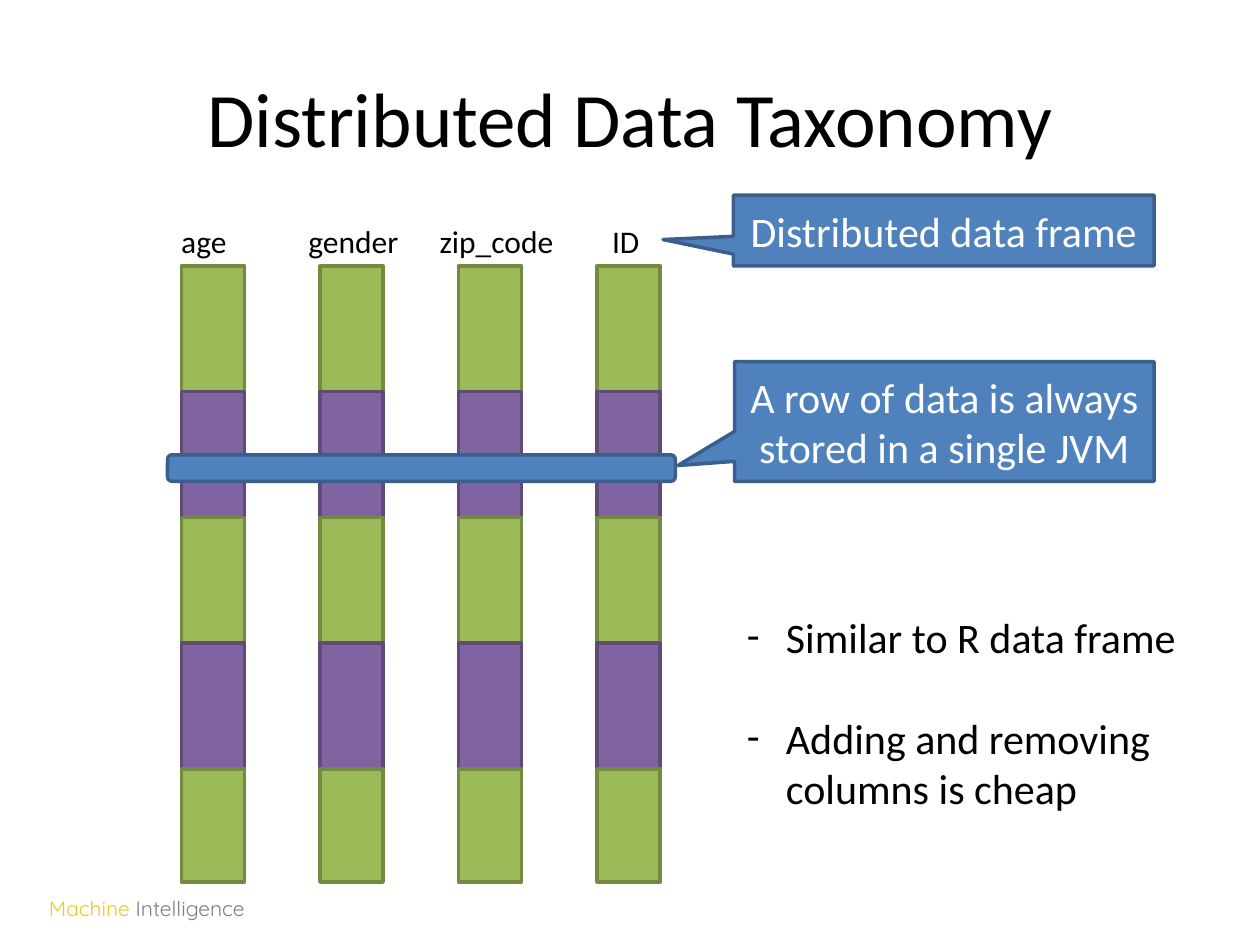
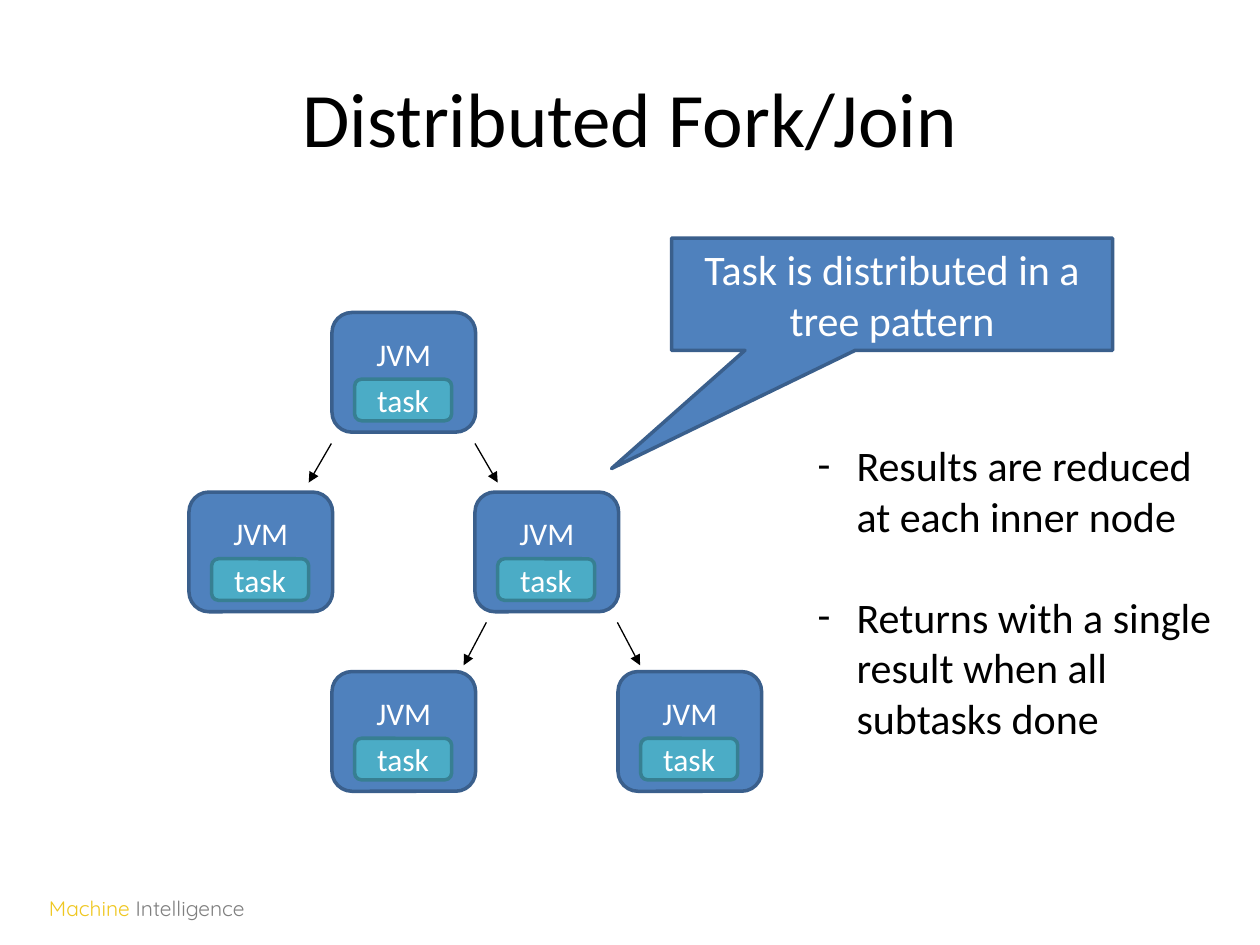
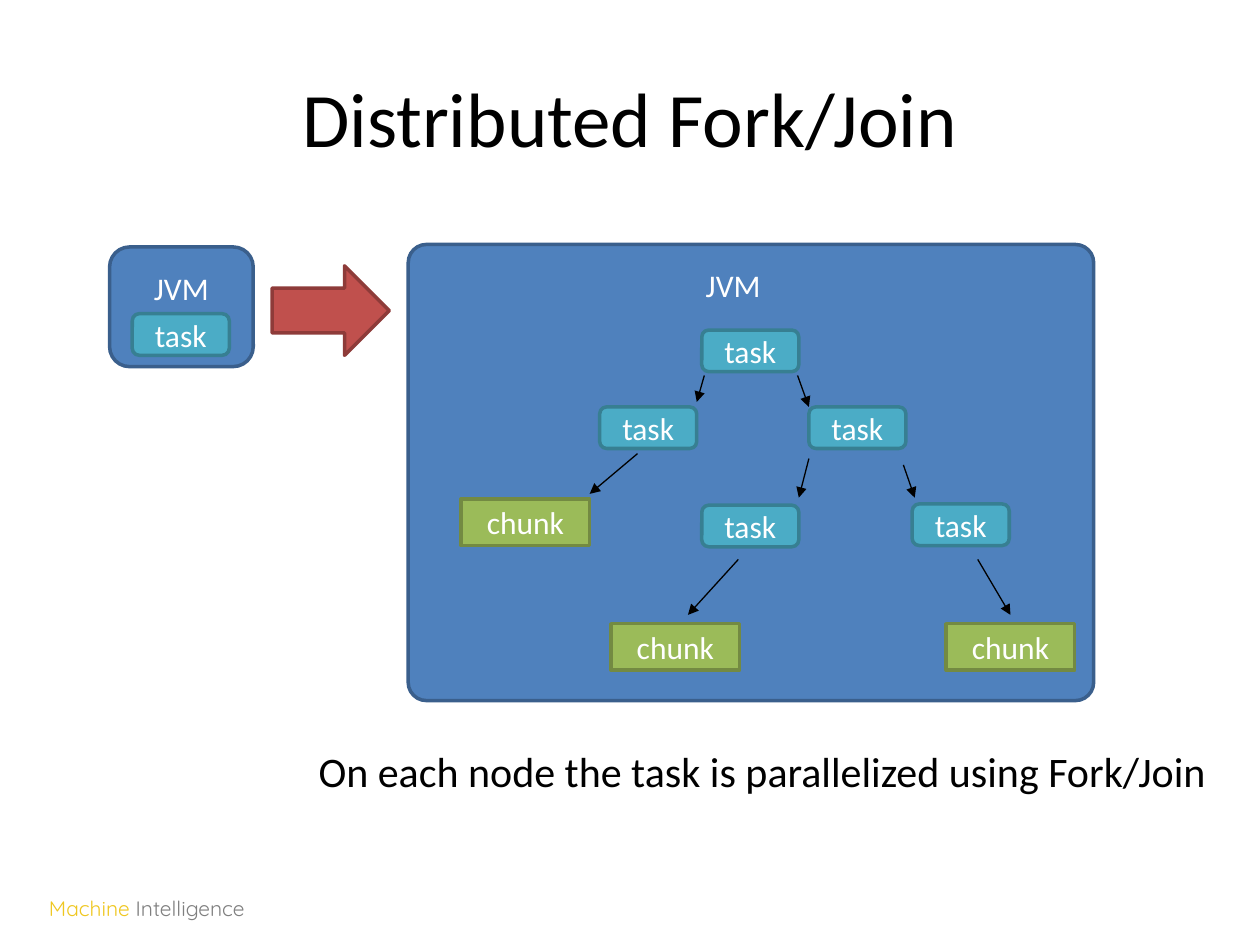
from lxml.etree import SubElement
from pptx import Presentation
from pptx.dml.color import RGBColor
from pptx.enum.shapes import MSO_CONNECTOR, MSO_SHAPE
from pptx.enum.text import MSO_ANCHOR, MSO_AUTO_SIZE, PP_ALIGN
from pptx.oxml.ns import qn
from pptx.util import Inches, Pt

COLUMNS, ROWS = 100, 75
BLUE = ("4F81BD", "3A5F8C")
GREEN = ("9BBB59", "738A42")
PURPLE = ("8064A2", "5F4A78")
TEAL = ("4BACC6", "377F92")
RED = ("C0504D", "8E3B39")
BLACK, WHITE, YELLOW, GREY = "000000", "FFFFFF", "EFC71F", "7F7F7F"
BODY_FONT, FOOTER_FONT = "Calibri", "Quicksand"
JVM_SIZE = (11.4, 9.5)
TASK_SIZE = (7.7, 3.3)
CHUNK_SIZE = (10.2, 3.7)


def color(hex_code):
    return RGBColor.from_string(hex_code)


def add_span(para, text, size=18, font=BODY_FONT, ink=BLACK):
    """Append formatted text; a newline becomes a line break."""
    for number, line in enumerate(text.split("\n")):
        if number:
            para.add_line_break()
        span = para.add_run()
        span.text = line
        span.font.size, span.font.name = Pt(size), font
        span.font.color.rgb = color(ink)


class SlideBuilder:
    """Draws on the current slide; lengths are columns and rows of the grid."""

    def __init__(self):
        self.deck = Presentation()
        self.deck.slide_width, self.deck.slide_height = Inches(10), Inches(7.5)
        self.slide = None

    def across(self, columns):
        return round(self.deck.slide_width * columns / COLUMNS)

    def down(self, rows):
        return round(self.deck.slide_height * rows / ROWS)

    def area(self, left, top, width, height):
        return self.across(left), self.down(top), self.across(width), self.down(height)

    def start(self, title):
        self.slide = self.deck.slides.add_slide(self.deck.slide_layouts[5])
        box = self.slide.shapes.title
        box.left, box.top, box.width, box.height = self.area(5, 3, 90, 12.5)
        frame = box.text_frame
        frame.auto_size = MSO_AUTO_SIZE.NONE
        frame.vertical_anchor = MSO_ANCHOR.MIDDLE
        para = frame.paragraphs[0]
        para.alignment = PP_ALIGN.CENTER
        add_span(para, title, size=44)

    def text(self, left, top, width, height, text="", **style):
        box = self.slide.shapes.add_textbox(*self.area(left, top, width, height))
        box.text_frame.word_wrap = True
        if text:
            add_span(box.text_frame.paragraphs[0], text, **style)
        return box.text_frame

    def bullets(self, left, top, width, height, items):
        frame = self.text(left, top, width, height)
        for number, item in enumerate(items):
            para = frame.add_paragraph() if number else frame.paragraphs[0]
            para.space_before = Pt(29 if number else 0)
            properties = para._p.get_or_add_pPr()
            properties.set("marL", str(self.across(3.1)))
            properties.set("indent", str(-self.across(3.1)))
            SubElement(properties, qn("a:buFont")).set("typeface", BODY_FONT)
            SubElement(properties, qn("a:buChar")).set("char", "-")
            add_span(para, item, size=24)

    def shape(self, kind, left, top, size, paint, text="", text_size=18, adjust=()):
        box = self.slide.shapes.add_shape(kind, *self.area(left, top, *size))
        box.shadow.inherit = False
        fill, line = paint
        box.fill.solid()
        box.fill.fore_color.rgb = color(fill)
        box.line.color.rgb, box.line.width = color(line), Pt(2)
        for number, value in enumerate(adjust):
            box.adjustments[number] = value
        frame = box.text_frame
        frame.word_wrap, frame.vertical_anchor = True, MSO_ANCHOR.MIDDLE
        frame.paragraphs[0].alignment = PP_ALIGN.CENTER
        if text:
            add_span(frame.paragraphs[0], text, size=text_size, ink=WHITE)
        return frame

    def callout(self, left, top, size, text, tip):
        self.shape(MSO_SHAPE.RECTANGULAR_CALLOUT, left, top, size, BLUE, text, 24, tip)

    def jvm(self, left, top, size=JVM_SIZE, adjust=()):
        frame = self.shape(MSO_SHAPE.ROUNDED_RECTANGLE, left, top, size, BLUE, "JVM", adjust=adjust)
        frame.vertical_anchor = MSO_ANCHOR.TOP
        frame.margin_top = self.down(1.3)
        return frame

    def task(self, left, top):
        self.shape(MSO_SHAPE.ROUNDED_RECTANGLE, left, top, TASK_SIZE, TEAL, "task")

    def jvm_with_task(self, left, top):
        self.jvm(left, top)
        self.task(left + 1.8, top + 5.3)

    def arrows(self, routes):
        for x1, y1, x2, y2 in routes:
            arrow = self.slide.shapes.add_connector(
                MSO_CONNECTOR.STRAIGHT,
                self.across(x1), self.down(y1), self.across(x2), self.down(y2))
            arrow.line.color.rgb, arrow.line.width = color(BLACK), Pt(0.75)
            properties = arrow.element.spPr
            SubElement(properties.find(qn("a:ln")), qn("a:tailEnd")).set("type", "triangle")
            SubElement(properties, qn("a:effectLst"))

    def footer(self):
        frame = self.text(2.9, 70, 24, 4.1)
        frame.vertical_anchor = MSO_ANCHOR.MIDDLE
        for text, ink in (("Machine ", YELLOW), ("Intelligence", GREY)):
            add_span(frame.paragraphs[0], text, size=12, font=FOOTER_FONT, ink=ink)


def draw_taxonomy(page):
    page.start("Distributed Data Taxonomy")
    first_left, column_step, first_top, chunk_step, bottom = 14.4, 11, 21.1, 9.98, 70
    labels = (("age", 13.4), ("gender", 23.5), ("zip_code", 33.9), ("ID", 47.6))
    for column, (label, label_left) in enumerate(labels):
        page.text(label_left, 17.1, 12, 4, label)
        for chunk in range(5):
            top = first_top + chunk * chunk_step
            size = (5, min(10, bottom - top))
            page.shape(MSO_SHAPE.RECTANGLE, first_left + column * column_step, top, size,
                       PURPLE if chunk % 2 else GREEN)
    page.shape(MSO_SHAPE.ROUNDED_RECTANGLE, 13.3, 36.1, (40.3, 2.1), BLUE)
    page.callout(58.3, 28.7, (33.3, 9.5),
                 "A row of data is always stored in a single JVM", (-0.635, 0.368))
    page.callout(58.2, 15.5, (33.4, 5.6), "Distributed data frame", (-0.667, 0.128))
    page.bullets(58.3, 48, 37.7, 17.2,
                 ("Similar to R data frame", "Adding and removing\ncolumns is cheap"))
    page.footer()


def draw_cluster_tree(page):
    page.start("Distributed Fork/Join")
    for column, level in ((1, 0), (0, 1), (2, 1), (1, 2), (3, 2)):
        page.jvm_with_task(15 + column * 11.35, 24.8 + level * 14.25)
    page.arrows(((26.3, 35.2, 24.5, 38.3), (37.7, 35.2, 39.5, 38.3),
                 (38.6, 49.4, 36.8, 52.8), (49, 49.4, 50.8, 52.8)))
    page.callout(53.3, 18.9, (35, 8.9), "Task is distributed in a tree pattern", (-0.636, 1.554))
    page.bullets(63.9, 34.4, 35, 25.2,
                 ("Results are reduced at each inner node",
                  "Returns with a single\nresult when all subtasks done"))
    page.footer()


def draw_node_tree(page):
    page.start("Distributed Fork/Join")
    page.jvm_with_task(8.7, 19.6)
    frame = page.jvm(32.4, 19.4, (54.4, 36.2), adjust=(0.04,))
    frame.margin_right = page.across(3.8)
    for left, top in ((55.7, 26.2), (47.6, 32.3), (64.2, 32.3), (72.4, 40), (55.7, 40.1)):
        page.task(left, top)
    for left, top in ((36.6, 39.6), (48.5, 49.5), (75.1, 49.5)):
        page.shape(MSO_SHAPE.RECTANGLE, left, top, CHUNK_SIZE, GREEN, "chunk")
    page.arrows(((55.9, 29.8, 55.3, 31.9), (63.3, 29.8, 64.2, 32.3),
                 (71.7, 36.9, 72.6, 39.5), (64.2, 36.4, 63.4, 39.5),
                 (77.6, 44.4, 80.2, 48.8), (58.6, 44.4, 54.6, 48.8),
                 (50.6, 36, 46.8, 39.2)))
    page.shape(MSO_SHAPE.RIGHT_ARROW, 21.6, 21.1, (9.3, 7.1), RED)
    page.text(24.3, 58.7, 74, 5, "On each node the task is parallelized using Fork/Join", size=24)
    page.footer()


def main():
    page = SlideBuilder()
    draw_taxonomy(page)
    draw_cluster_tree(page)
    draw_node_tree(page)
    page.deck.save("out.pptx")


if __name__ == "__main__":
    main()
